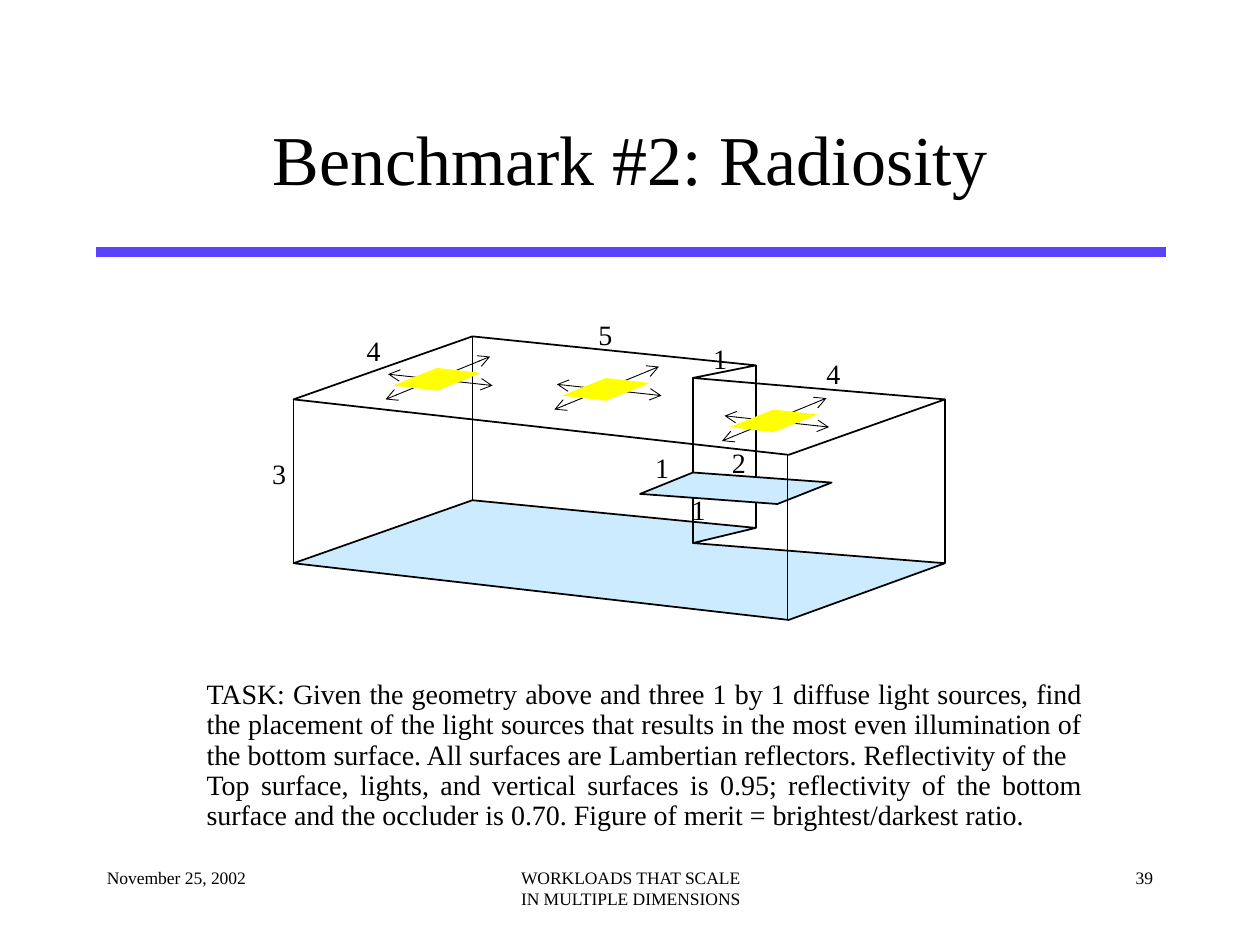
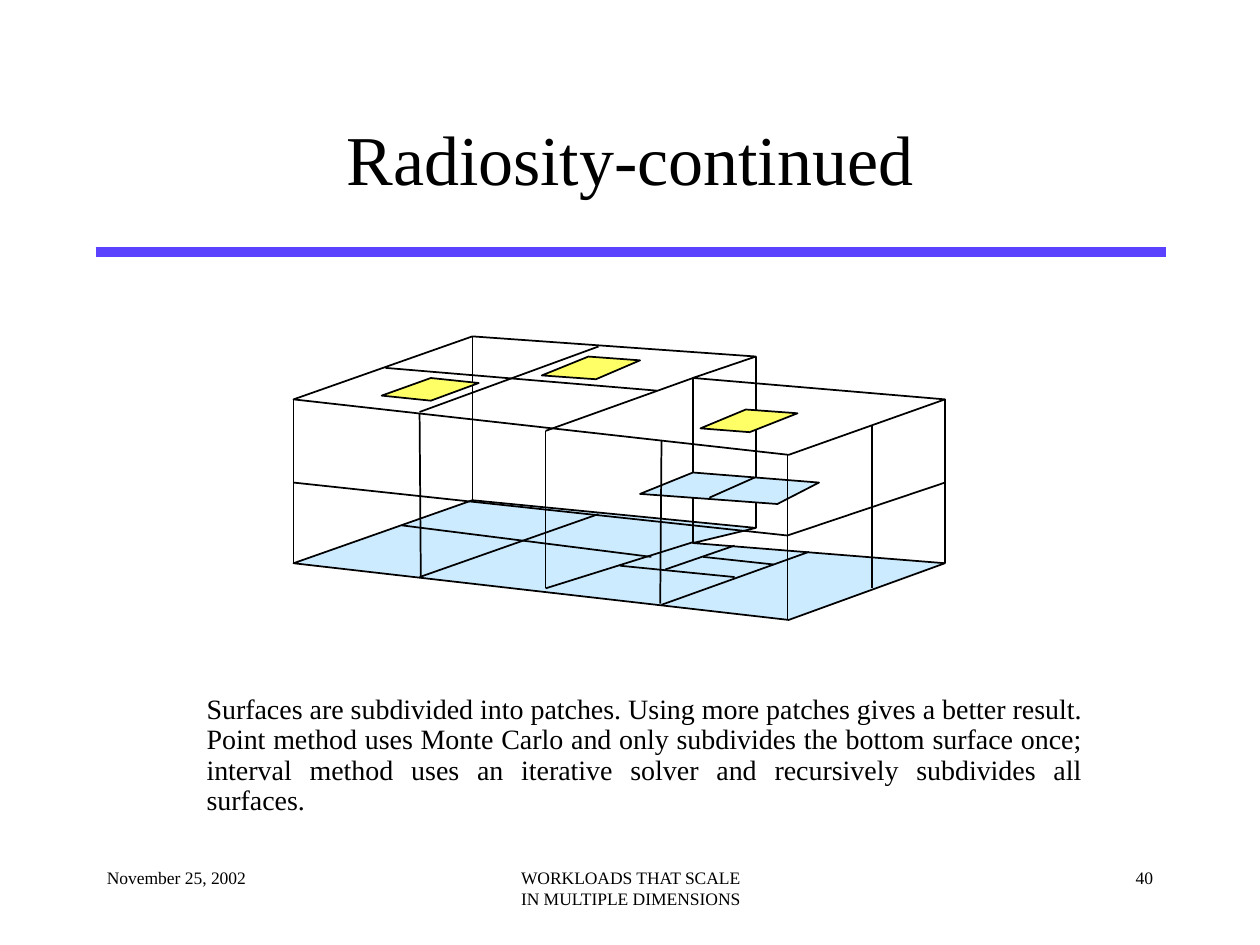
"""Build two slides on the radiosity benchmark."""
from lxml.etree import SubElement
from pptx import Presentation
from pptx.dml.color import RGBColor
from pptx.enum.shapes import MSO_CONNECTOR
from pptx.enum.text import MSO_ANCHOR, MSO_AUTO_SIZE, PP_ALIGN
from pptx.oxml.ns import qn
from pptx.util import Inches, Pt

hue = RGBColor.from_string
BLACK, BAND, WATER = "000000", "5B42FF", "CCEBFF"
WIDE = dict(zip(("margin_left", "margin_top", "margin_right", "margin_bottom"),
                map(Inches, (0.1, 0.05, 0.1, 0.05))), word_wrap=True)
TIGHT = dict(zip(("margin_left", "margin_top", "margin_right", "margin_bottom"),
                 map(Inches, (0.06, 0.1, 0.06, 0.06))),
             vertical_anchor=MSO_ANCHOR.MIDDLE,
             auto_size=MSO_AUTO_SIZE.SHAPE_TO_FIT_TEXT)
TITLE = {**WIDE, "vertical_anchor": MSO_ANCHOR.MIDDLE}
NOTE = {**TIGHT, "word_wrap": True}
LABEL = {**TIGHT, "word_wrap": False}


def write(slide, box, lines, size, align, frame, space=0.9):
    text = slide.shapes.add_textbox(*map(Inches, box)).text_frame
    for key, val in frame.items():
        setattr(text, key, val)
    text.text = "\n".join(lines)
    for para in text.paragraphs:
        para.alignment, para.line_spacing = align, space
        for key, val in {"name": "Times New Roman", "size": Pt(size)}.items():
            setattr(para.font, key, val)
        para.font.color.rgb = hue(BLACK)


def draw(slide, dots, fill=None, width=1, color=BLACK, heads=False):
    dots = [(Inches(x), Inches(y)) for x, y in dots]
    if len(dots) == 2:
        shape = slide.shapes.add_connector(MSO_CONNECTOR.STRAIGHT, *dots[0], *dots[1])
    else:
        pen = slide.shapes.build_freeform(*dots[0])
        pen.add_line_segments(dots[1:], close=True)
        shape = pen.convert_to_shape()
        shape.shadow.inherit = False
        if fill:
            shape.fill.solid()
            shape.fill.fore_color.rgb = hue(fill)
        else:
            shape.fill.background()
    if width:
        shape.line.color.rgb = hue(color)
        shape.line.width = Pt(width)
    else:
        shape.line.fill.background()
    if len(dots) == 2:
        props = shape._element.spPr
        if heads:
            for end in ("a:headEnd", "a:tailEnd"):
                SubElement(props.find(qn("a:ln")), qn(end), type="arrow")
        SubElement(props, qn("a:effectLst"))


pages = [
    ("Benchmark #2: Radiosity", 39, 2.9, 6.6, (5.3, 1.36), [
        "TASK: Given the geometry above and three 1 by 1 diffuse light sources, "
        "find the placement of the light sources that results in the most even "
        "illumination of the bottom surface. All surfaces are Lambertian "
        "reflectors. Reflectivity of the",
        "Top surface, lights, and vertical surfaces is 0.95; reflectivity of the "
        "bottom surface and the occluder is 0.70. Figure of merit = "
        "brightest/darkest ratio."]),
    ("Radiosity-continued", 40, 2.83, 6.5, (5.42, 1.12), [
        "Surfaces are subdivided into patches. Using more patches gives a better "
        "result. Point method uses Monte Carlo and only subdivides the bottom "
        "surface once; interval method uses an iterative solver and recursively "
        "subdivides all surfaces."]),
]

deck = Presentation()
deck.slide_width, deck.slide_height = Inches(10), Inches(7.5)
slides = []
for title, page, notch, tip, (top, tall), note in pages:
    slide = deck.slides.add_slide(deck.slide_layouts[6])
    slides.append(slide)
    draw(slide, [(0.76, 2), (9.25, 2)], width=6, color=BAND)
    for left, wide, lines, align in [
            (0.75, 2.08, ["November 25, 2002"], PP_ALIGN.LEFT),
            (7.17, 2.08, [str(page)], PP_ALIGN.RIGHT),
            (3.42, 3.17, ["WORKLOADS THAT SCALE", "IN MULTIPLE DIMENSIONS"],
             PP_ALIGN.CENTER)]:
        write(slide, (left, 6.83, wide, 0.5), lines, 10, align, WIDE, 1.0)
    write(slide, (0.75, 0.67, 8.5, 1.25), [title], 40, PP_ALIGN.CENTER, TITLE)
    write(slide, (1.58, top, 7.07, tall), note, 16, PP_ALIGN.JUSTIFY, NOTE)

    roof = [(2.33, 3.17), (3.75, 2.67), (6, notch), (5.5, 3), (7.5, 3.17), (6.26, 3.61)]
    floor = [(2.33, 4.47), (3.75, 3.97), (6, 4.19), (5.5, 4.31), (7.5, 4.47), (6.26, 4.92)]
    draw(slide, roof)
    draw(slide, floor, WATER)
    for high, low in zip(roof[:5], floor):
        draw(slide, [high, low])
    draw(slide, [(5.5, 3.75), (5.08, 3.92), (6.17, 4), (tip, 3.83)], WATER)
    draw(slide, [(6.25, 3.61), (6.25, 4.92)])

first, second = slides
lamp = [(0, 0), (-0.35, 0.14), (0, 0.18), (0.35, 0.04)]
moves = [[(-0.41, 0.25), (0.42, -0.09)], [(-0.39, 0.05), (0.44, 0.14)]]
for x, y in [(3.47, 2.92), (4.81, 3), (6.14, 3.25)]:
    for move in moves:
        draw(first, [(x + a, y + b) for a, b in move], width=0.5, heads=True)
    draw(first, [(x + a, y + b) for a, b in lamp], "FFFF00", width=0)

for mark, x, y in [
        ("3", 2.1, 3.55), ("4", 2.85, 2.58), ("5", 4.69, 2.45), ("1", 5.6, 2.64),
        ("1", 5.43, 3.84), ("1", 5.14, 3.51), ("2", 5.75, 3.47), ("4", 6.5, 2.76)]:
    write(first, (x, y, 0.23, 0.4), [mark], 16, PP_ALIGN.CENTER, LABEL)

cuts = [
    (4.33, 3.42, 4.33, 4.67), (3.33, 3.28, 3.34, 4.58), (5.25, 3.5, 5.24, 4.79),
    (6.92, 3.38, 6.92, 4.67), (2.33, 3.83, 6.25, 4.25), (6.25, 4.25, 7.5, 3.83),
    (5.25, 4.8, 6.42, 4.38), (4.33, 4.67, 5.51, 4.3), (3.33, 4.58, 4.75, 4.08),
    (3.19, 4.17, 5.17, 4.42), (4.92, 4.49, 5.83, 4.58), (5.28, 4.52, 5.83, 4.33),
    (5.58, 4.42, 6.14, 4.48), (5.63, 3.95, 5.99, 3.79), (5.5, 3, 4.33, 3.42),
    (3.33, 3.27, 4.75, 2.75), (3.06, 2.92, 5.21, 3.1),
]
for a, b, c, d in cuts:
    draw(second, [(a, b), (c, d)])

lamps = [
    [(4.67, 2.83), (4.3, 2.98), (4.73, 3.01), (5.08, 2.86)],
    [(5.92, 3.25), (5.56, 3.4), (5.95, 3.43), (6.33, 3.28)],
    [(3.42, 3), (3.03, 3.14), (3.42, 3.18), (3.8, 3.04)],
]
for dots in lamps:
    draw(second, dots, "FFFF66")

deck.save("out.pptx")
